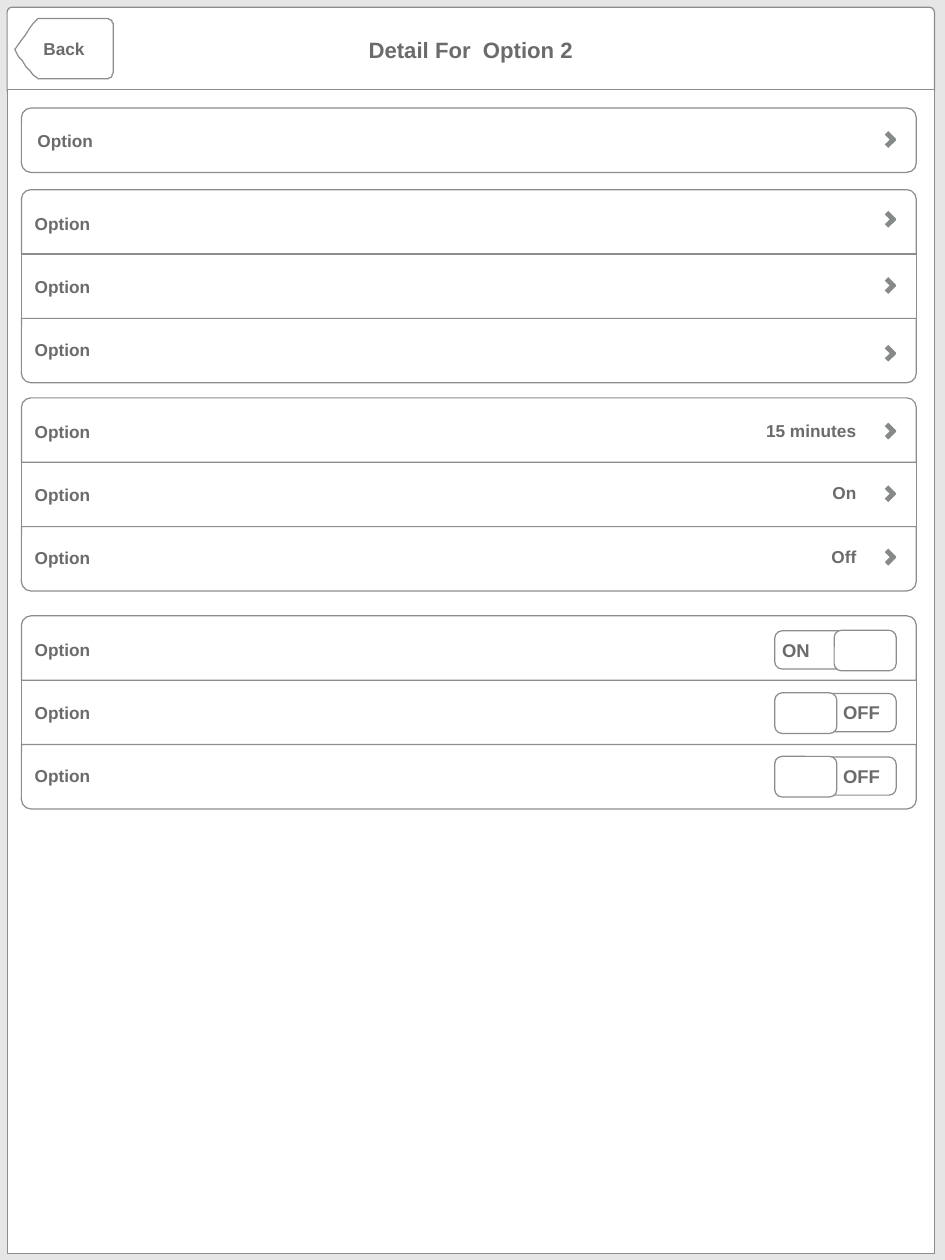
from lxml import etree
from pptx import Presentation
from pptx.dml.color import RGBColor
from pptx.enum.shapes import MSO_CONNECTOR, MSO_SHAPE as SHAPE
from pptx.enum.text import MSO_ANCHOR, PP_ALIGN as ALIGN
from pptx.oxml.ns import qn
from pptx.util import Pt

TITLE = "Detail For  Option 2"
BACK = "Back"
# Each group: top, then rows of (label, value, drop of the control below the row top)
GROUPS = [
    (87.8, [("Option", "", 20.2)]),
    (154.1, [("Option", "", 18.7), ("Option", "", 20.2), ("Option", "", 23)]),
    (323.3, [("Option", "15 minutes", 21.6), ("Option", "On", 20.2), ("Option", "Off", 19.4)]),
    (500.4, [("Option", "ON", 12.2), ("Option", "OFF", 10.8), ("Option", "OFF", 10.1)]),
]
# Back button outline: start point, then cubic curves (two handles and an end)
BACK_START = (31, 15.1)
BACK_CURVES = [
    [(31, 15.1), (87.1, 15.1), (87.1, 15.1)],
    [(90, 15.1), (92.3, 18), (92.3, 22.3)],
    [(92.3, 22.3), (92.3, 56.2), (92.3, 56.2)],
    [(92.3, 60.5), (90, 64), (87.1, 64)],
    [(87.1, 64), (31, 64), (31, 64)],
    [(28.8, 64), (12.2, 43.9), (12.2, 40.3)],
    [(12.2, 40.3), (28.8, 15.1), (31, 15.1)],
]

PAGE_W, PAGE_H = 767.5, 1023.8
PANEL_X, PANEL_W = 5.8, 753.1
ROW_X, ROW_W, ROW_H, RADIUS = 17.4, 726.8, 52.3, 7.7
CHEVRON_X, TOGGLE_X, TOGGLE_W, KNOB_W = 720, 629.3, 98.6, 50.4
WHITE, EDGE, INK, ARROW, BACKDROP = "FFFFFF", "8D8D8D", "6B6B6B", "86898A", "E6E6E6"


def color(value):
    return RGBColor.from_string(value)


def outline(shape):
    shape.shadow.inherit = False
    shape.fill.solid()
    shape.fill.fore_color.rgb = color(WHITE)
    shape.line.color.rgb = color(EDGE)
    shape.line.width = Pt(1)
    return shape


def add_box(kind, x, y, w, h, *adjustments):
    box = outline(page.shapes.add_shape(kind, Pt(x), Pt(y), Pt(w), Pt(h)))
    for index, value in enumerate(adjustments):
        box.adjustments[index] = value
    return box


def write(shape, text, size=14, align=ALIGN.CENTER, left=0, right=0):
    frame = shape.text_frame
    frame.word_wrap = True
    frame.vertical_anchor = MSO_ANCHOR.MIDDLE
    frame.margin_left, frame.margin_right = Pt(left), Pt(right)
    frame.margin_top = frame.margin_bottom = 0
    para = frame.paragraphs[0]
    para.text, para.alignment = text, align
    para.font.name, para.font.size, para.font.bold = "Arial", Pt(size), True
    para.font.color.rgb = color(INK)


def add_back_button():
    def curve_points(start, first, second, end, steps=8):
        for step in range(1, steps + 1):
            t = step / steps
            yield tuple(
                (1 - t) ** 3 * a + 3 * t * (1 - t) ** 2 * b + 3 * t * t * (1 - t) * c + t ** 3 * d
                for a, b, c, d in zip(start, first, second, end))

    points, start = [], BACK_START
    for curve in BACK_CURVES:
        points += curve_points(start, *curve)
        start = curve[-1]
    builder = page.shapes.build_freeform(*BACK_START, scale=Pt(1))
    builder.add_line_segments(points, close=True)
    write(outline(builder.convert_to_shape()), BACK)


def add_chevron(y):
    for start, end in ((0, 6.4), (10.8, 4.4)):
        stroke = page.shapes.add_connector(
            MSO_CONNECTOR.STRAIGHT, Pt(CHEVRON_X), Pt(y + start), Pt(CHEVRON_X + 6.5), Pt(y + end))
        stroke.line.color.rgb = color(ARROW)
        stroke.line.width = Pt(4)
        etree.SubElement(stroke._element.spPr, qn("a:effectLst"))


def add_value(text, y):
    box = page.shapes.add_textbox(Pt(573.8), Pt(y), Pt(121.7), Pt(31))
    write(box, text, align=ALIGN.RIGHT)


def add_toggle(text, y):
    is_on = text == "ON"
    track = add_box(SHAPE.ROUNDED_RECTANGLE, TOGGLE_X, y, TOGGLE_W, 31, 0.19)
    write(track, text, 15, ALIGN.LEFT if is_on else ALIGN.RIGHT, left=4.2, right=11.4)
    knob_x = TOGGLE_X + TOGGLE_W - KNOB_W if is_on else TOGGLE_X
    add_box(SHAPE.ROUNDED_RECTANGLE, knob_x, y - 0.5, KNOB_W, 33, 0.18)


def add_row(label, y, is_first, is_last):
    corner = RADIUS / ROW_H
    if is_first and is_last:
        row = add_box(SHAPE.ROUNDED_RECTANGLE, ROW_X, y, ROW_W, ROW_H, corner)
    elif is_first or is_last:
        row = add_box(SHAPE.ROUND_2_SAME_RECTANGLE, ROW_X, y, ROW_W, ROW_H,
                      corner * is_first, corner * is_last)
    else:
        row = add_box(SHAPE.RECTANGLE, ROW_X, y, ROW_W, ROW_H)
    # A two-corner shape already insets its text by part of the radius
    left = 10.8 if is_first == is_last else 10.8 - 0.29 * RADIUS
    write(row, label, align=ALIGN.LEFT, left=left)


deck = Presentation()
deck.slide_width, deck.slide_height = Pt(PAGE_W), Pt(PAGE_H)
page = deck.slides.add_slide(deck.slide_layouts[6])
page.background.fill.solid()
page.background.fill.fore_color.rgb = color(BACKDROP)

header = add_box(SHAPE.ROUND_2_SAME_RECTANGLE, PANEL_X, 5.8, PANEL_W, 68.4, 0.06, 0)
write(header, TITLE, 18)
add_box(SHAPE.RECTANGLE, PANEL_X, 72.7, PANEL_W, 946.1)
add_back_button()

for top, rows in GROUPS:
    for index, (label, value, drop) in enumerate(rows):
        y = top + index * ROW_H
        add_row(label, y, index == 0, index == len(rows) - 1)
        if value in ("ON", "OFF"):
            add_toggle(value, y + drop)
            continue
        if value:
            add_value(value, y + drop - 10.7)
        add_chevron(y + drop)

deck.save("out.pptx")
